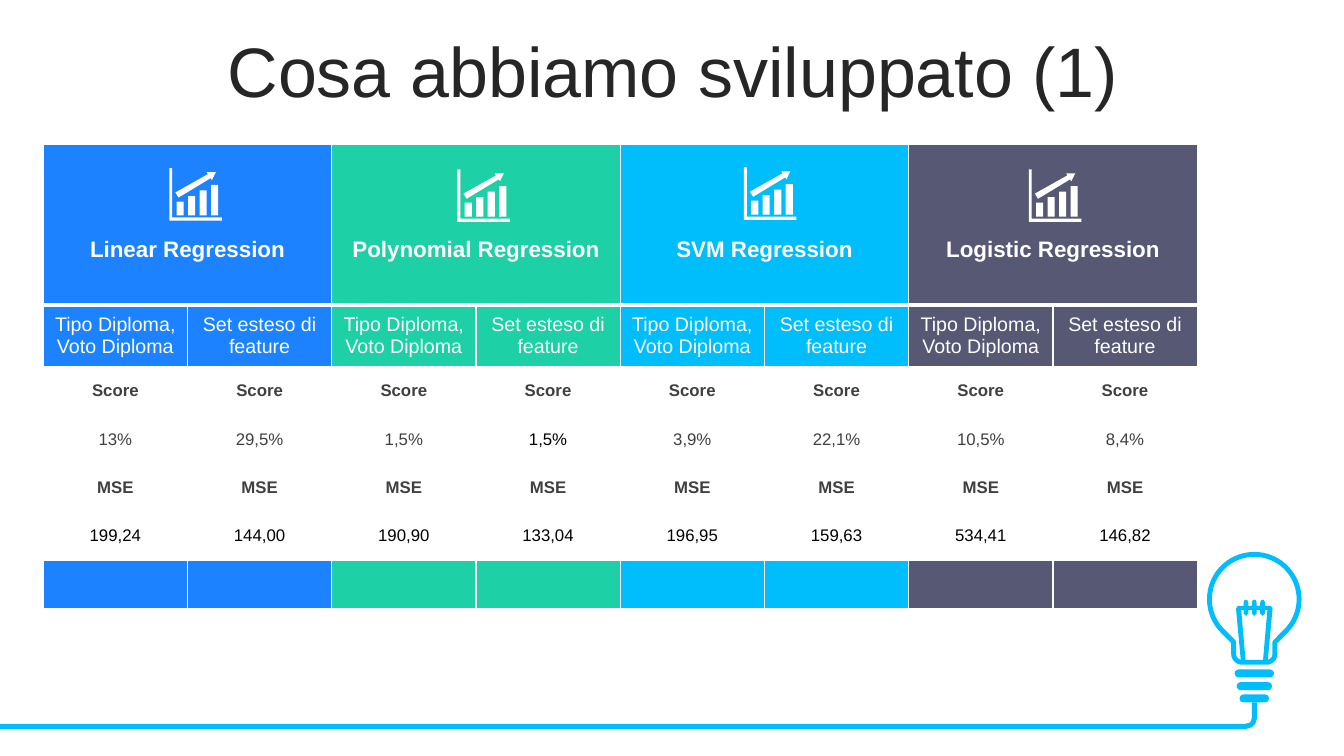
from math import cos, radians, sin

from lxml import etree
from pptx import Presentation
from pptx.dml.color import RGBColor
from pptx.enum import shapes, text
from pptx.oxml import ns
from pptx.util import Cm, Pt

TITLE = "Cosa abbiamo sviluppato (1)"
WHITE, BLACK, GREY, DARK, CYAN = "FFFFFF", "000000", "404040", "262626", "00BDFB"
# name, colour, icon left and top in cm
MODELS = [
    ("Linear Regression", "1C82FF", (4.27, 4.24)),
    ("Polynomial Regression", "1ED0A6", (11.53, 4.27)),
    ("SVM Regression", CYAN, (18.75, 4.22)),
    ("Logistic Regression", "565874", (25.93, 4.27)),
]
FEATURE_SETS = ["Tipo Diploma, Voto Diploma", "Set esteso di feature"]
SCORES = ["13%", "29,5%", "1,5%", "1,5%", "3,9%", "22,1%", "10,5%", "8,4%"]
BLACK_SCORE = 3
MSES = ["199,24", "144,00", "190,90", "133,04", "196,95", "159,63", "534,41", "146,82"]

# All positions below are in cm
TABLE_LEFT, TABLE_TOP, TABLE_WIDTH = 1.09, 3.63, 29.08
ROW_HEIGHTS = [4.06, 1.55] + [1.22] * 5
BULB_X, BULB_Y, BULB_R = 31.61, 15.1, 1.13
NECK_HALF, NECK_TOP, NECK_BOTTOM, NECK_R = 0.52, 16.18, 16.69, 0.21
SCREW_RINGS = [(0.99, 16.87), (0.89, 17.19), (0.74, 17.5)]  # width, top
CABLE = [(0, 18.24, 31.42, 0.13), (31.55, 17.7, 0.13, 0.43)]
CABLE_BEND = (31.19, 17.88, 0.48, 0.48)
# Right half of the filament, x measured from the bulb's axis
FILAMENT_HALF = [
    (0, 15.11), (0.04, 15.13), (0.06, 15.19), (0.06, 15.27), (0.15, 15.27),
    (0.15, 15.19), (0.17, 15.13), (0.21, 15.11), (0.25, 15.13), (0.27, 15.19),
    (0.27, 15.27), (0.42, 15.27), (0.46, 15.34), (0.34, 16.64), (0.28, 16.7),
    (0.22, 16.64), (0.33, 15.37), (0.27, 15.37), (0.27, 15.46), (0.21, 15.52),
    (0.15, 15.46), (0.15, 15.37), (0.06, 15.37), (0.06, 15.46), (0, 15.52),
]
ICON_ARROW = [(0.94, 0.1), (1.17, 0.1), (1.07, 0.3), (1.04, 0.25),
              (0.23, 0.74), (0.15, 0.61), (0.97, 0.15)]
ICON_AXES = [(0, 0), (0.07, 0), (0.07, 1.24), (1.32, 1.24), (1.32, 1.32), (0, 1.32)]


def rgb(value):
    return RGBColor.from_string(value)


def paint(sp, fill, line=None, width=0):
    sp.shadow.inherit = False
    sp.fill.solid()
    sp.fill.fore_color.rgb = rgb(fill)
    if line:
        sp.line.color.rgb = rgb(line)
        sp.line.width = Pt(width)
    else:
        sp.line.fill.background()


def preset(kind, box, fill):
    sp = s.shapes.add_shape(kind, *(Cm(v) for v in box))
    paint(sp, fill)
    return sp


def outline(contours, fill, line=None, width=0):
    """Draw closed contours, given in cm, as one freeform."""
    contours = [[(Cm(x), Cm(y)) for x, y in c] for c in contours]
    builder = s.shapes.build_freeform(*contours[0][0])
    for i, points in enumerate(contours):
        if i:
            builder.move_to(*points[0])
        builder.add_line_segments(points[1:], close=True)
    paint(builder.convert_to_shape(), fill, line, width)


def arc(cx, cy, r, start, end, step):
    return [(cx + r * cos(radians(a)), cy + r * sin(radians(a)))
            for a in range(start, end + 1, step)]


def write(tf, words, size, color, bold=False):
    p = tf.paragraphs[0]
    p.alignment = text.PP_ALIGN.CENTER
    r = p.add_run()
    r.text = words
    for name, value in dict(name="Arial", size=Pt(size), bold=bold).items():
        setattr(r.font, name, value)
    r.font.color.rgb = rgb(color)
    return p


def border(cell, widths):
    """Give a cell white borders; widths maps L, R, T, B to points."""
    tc_pr = cell._tc.get_or_add_tcPr()
    for side, width in widths.items():
        ln = etree.SubElement(tc_pr, ns.qn(f"a:ln{side}"), w=str(Pt(width)))
        solid = etree.SubElement(ln, ns.qn("a:solidFill"))
        etree.SubElement(solid, ns.qn("a:srgbClr"), val=WHITE)


def draw_bulb():
    left, right = BULB_X - NECK_HALF, BULB_X + NECK_HALF
    corner_y = NECK_BOTTOM - NECK_R
    glass = (arc(BULB_X, BULB_Y, BULB_R, 135, 405, 5)
             + [(right, NECK_TOP)]
             + arc(right - NECK_R, corner_y, NECK_R, 0, 90, 15)
             + arc(left + NECK_R, corner_y, NECK_R, 90, 180, 15)
             + [(left, NECK_TOP)])
    outline([glass], WHITE, CYAN, 3.5)
    for width, top in SCREW_RINGS:
        ring = preset(shapes.MSO_SHAPE.ROUNDED_RECTANGLE,
                      (BULB_X - width / 2, top, width, 0.2), CYAN)
        ring.adjustments[0] = 0.5
    mirrored = [(-x, y) for x, y in FILAMENT_HALF[-2:0:-1]]
    outline([[(BULB_X + x, y) for x, y in FILAMENT_HALF + mirrored]], CYAN)
    for box in CABLE:
        preset(shapes.MSO_SHAPE.RECTANGLE, box, CYAN)
    bend = preset(shapes.MSO_SHAPE.BLOCK_ARC, CABLE_BEND, CYAN)
    for i, value in enumerate((213.39, 60.92, 0.27)):
        bend.adjustments[i] = value


def draw_title():
    sp = s.shapes.add_textbox(Cm(0.89), Cm(0.94), Cm(32.16), Cm(2.01))
    tf = sp.text_frame
    tf.word_wrap = True
    tf.vertical_anchor = text.MSO_ANCHOR.MIDDLE
    write(tf, TITLE, 50, DARK).line_spacing = 0.8


def draw_table():
    n_cols = len(SCORES)
    rows = [  # words, size, text colour, bold, coloured fill
        ([MODELS[c // 2][0] if c % 2 == 0 else "" for c in range(n_cols)], 16, WHITE, True, True),
        (FEATURE_SETS * len(MODELS), 14, WHITE, False, True),
        (["Score"] * n_cols, 12, GREY, True, False),
        (SCORES, 12, GREY, False, False),
        (["MSE"] * n_cols, 12, GREY, True, False),
        (MSES, 12, BLACK, False, False),
        ([""] * n_cols, 12, WHITE, False, True),
    ]
    table = s.shapes.add_table(len(rows), n_cols, Cm(TABLE_LEFT), Cm(TABLE_TOP),
                               Cm(TABLE_WIDTH), Cm(sum(ROW_HEIGHTS))).table
    table.first_row = table.horz_banding = False
    for col in table.columns:
        col.width = Cm(TABLE_WIDTH / n_cols)
    for i, (words, size, color, bold, coloured) in enumerate(rows):
        table.rows[i].height = Cm(ROW_HEIGHTS[i])
        for c, word in enumerate(words):
            cell = table.cell(i, c)
            border(cell, dict(L=1, R=1, T=3 if i == 1 else 1, B=3 if i == 0 else 1))
            cell.fill.solid()
            cell.fill.fore_color.rgb = rgb(MODELS[c // 2][1] if coloured else WHITE)
            cell.vertical_anchor = text.MSO_ANCHOR.MIDDLE
            if i == 0:
                cell.margin_top = Cm(1.4)
            if word:
                black = words is SCORES and c == BLACK_SCORE
                write(cell.text_frame, word, size, BLACK if black else color, bold)
    for c in range(0, n_cols, 2):
        table.cell(0, c).merge(table.cell(0, c + 1))


def draw_icon(left, top):
    bars = []
    for i in range(4):
        x, y = 0.18 + 0.29 * i, 0.84 - 0.14 * i
        bars.append([(x, y), (x + 0.18, y), (x + 0.18, 1.19), (x, 1.19)])
    outline([[(left + x, top + y) for x, y in c]
             for c in bars + [ICON_ARROW, ICON_AXES]], WHITE)


prs = Presentation()
prs.slide_width, prs.slide_height = Cm(33.87), Cm(19.05)
s = prs.slides.add_slide(prs.slide_layouts[6])
draw_bulb()
draw_title()
draw_table()
for _, _, icon_at in MODELS:
    draw_icon(*icon_at)
prs.save("out.pptx")
